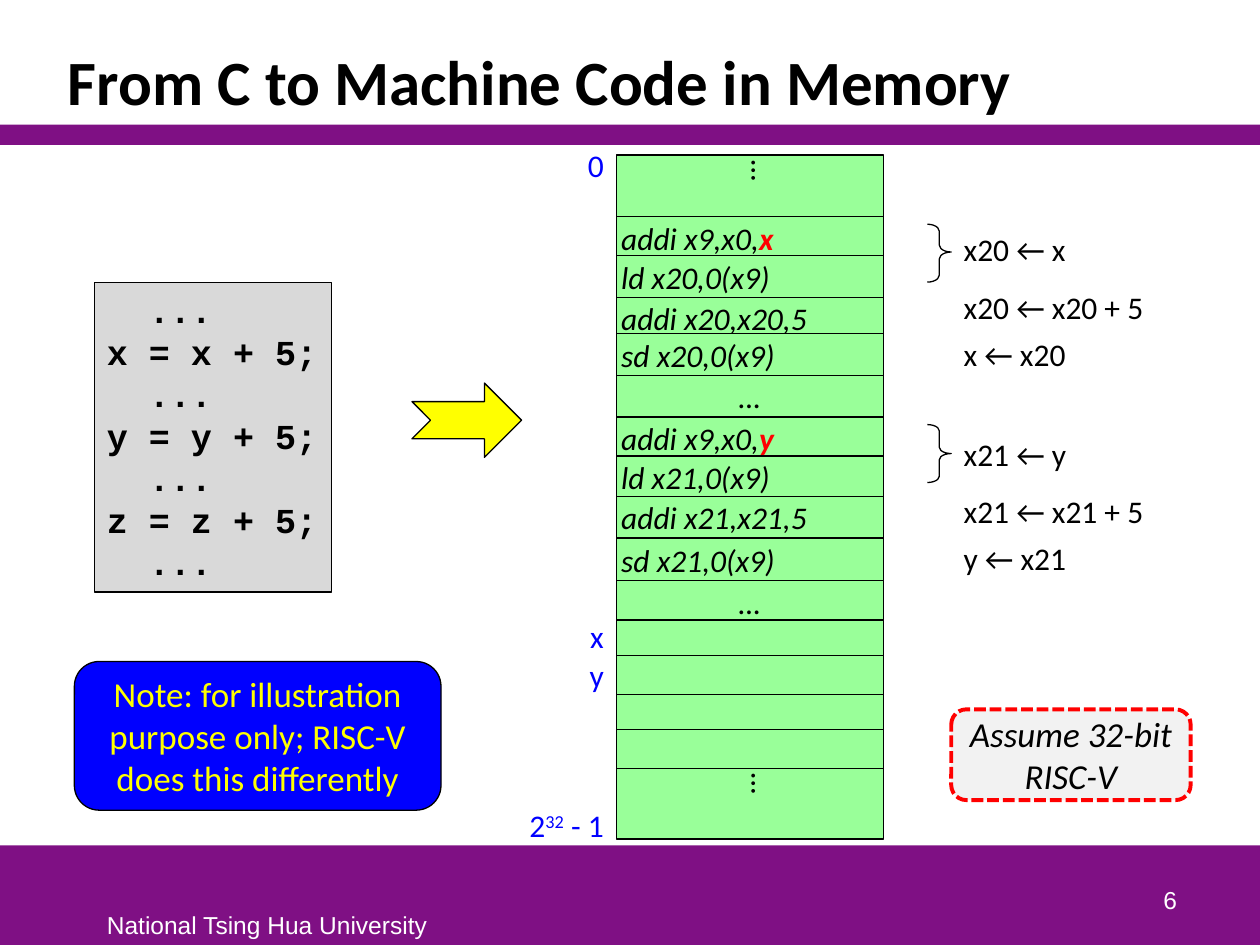
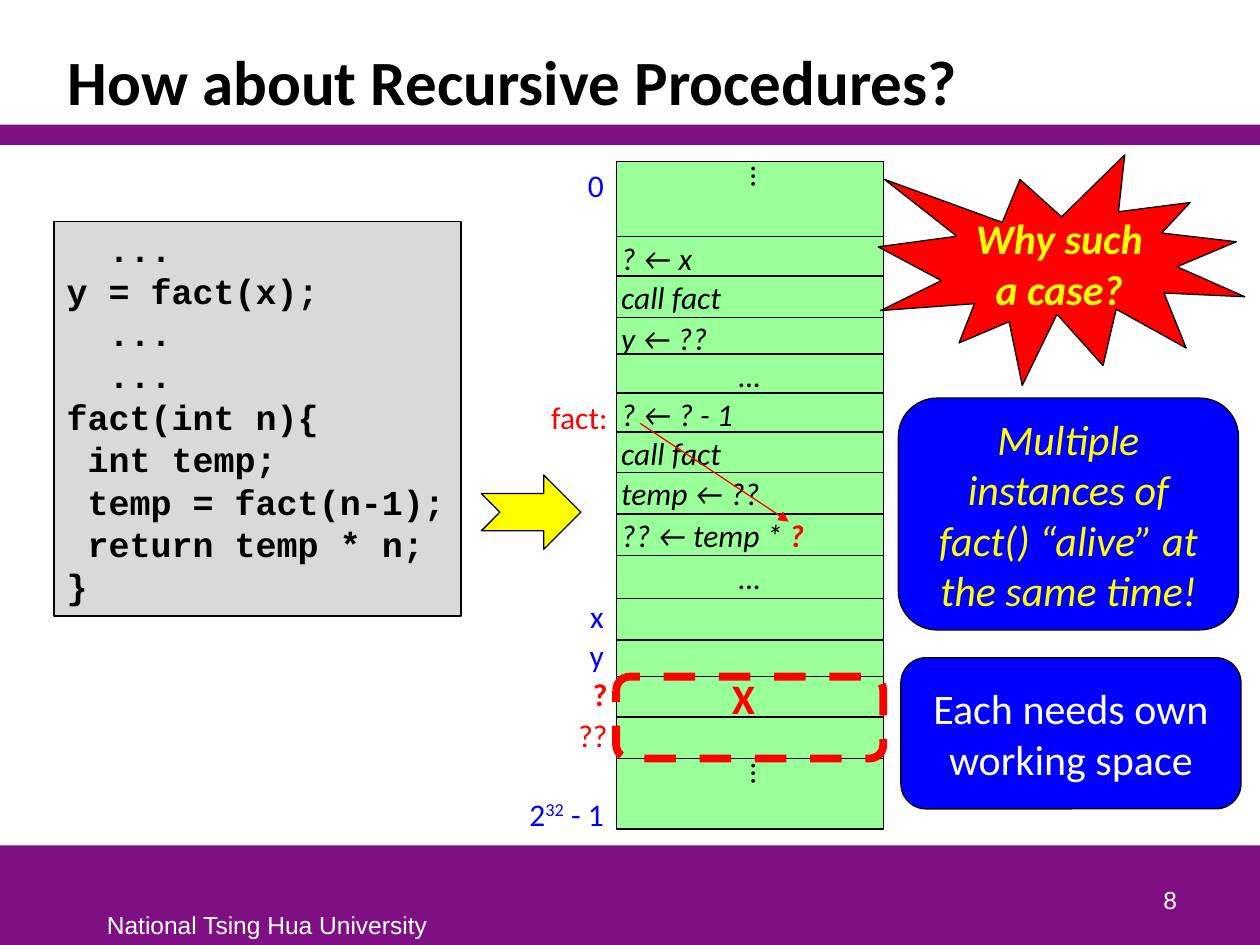
from lxml import etree
from pptx import Presentation
from pptx.dml.color import RGBColor
from pptx.enum.dml import MSO_LINE_DASH_STYLE as DASH
from pptx.enum.shapes import MSO_CONNECTOR, MSO_SHAPE as SHAPE
from pptx.enum.text import MSO_ANCHOR as ANCHOR, PP_ALIGN as ALIGN
from pptx.oxml.ns import qn
from pptx.util import Inches, Pt

PURPLE = RGBColor(0x7F, 0x10, 0x84)
GREEN = RGBColor(0x99, 0xFF, 0x99)
YELLOW = RGBColor(0xFF, 0xFF, 0x00)
BLUE = RGBColor(0x00, 0x00, 0xFF)
RED = RGBColor(0xFF, 0x00, 0x00)
GRAY = RGBColor(0xD9, 0xD9, 0xD9)
PALE = RGBColor(0xF2, 0xF2, 0xF2)
BLACK = RGBColor(0x00, 0x00, 0x00)
WHITE = RGBColor(0xFF, 0xFF, 0xFF)

presentation = Presentation()
presentation.slide_width = Inches(10)
presentation.slide_height = Inches(7.5)

# Grid: 100 columns by 75 rows
COLUMN = presentation.slide_width / 100
ROW = presentation.slide_height / 75
MEMORY_LEFT, MEMORY_WIDTH = 48.9, 21.2
CELL_HEIGHT = 3.3


def add_box(slide, kind, left, top, width, height, fill=None, line=None, weight=0.75, dash=None):
    """Add a preset shape, or a text box when kind is None."""
    place = [int(left * COLUMN), int(top * ROW), int(width * COLUMN), int(height * ROW)]
    if kind is None:
        return slide.shapes.add_textbox(*place)
    shape = slide.shapes.add_shape(kind, *place)
    shape.shadow.inherit = False
    if fill is None:
        shape.fill.background()
    else:
        shape.fill.solid()
        shape.fill.fore_color.rgb = fill
    if line is None:
        shape.line.fill.background()
    else:
        shape.line.color.rgb = line
        shape.line.width = Pt(weight)
        shape.line.dash_style = dash
    return shape


def write(shape, lines, size=18, color=BLACK, font="Calibri", bold=False, italic=False,
          align=ALIGN.LEFT, anchor=ANCHOR.TOP, wrap=True, inset=None):
    """Fill a shape with lines; each line is a list of (text, changed colour, baseline) runs."""
    frame = shape.text_frame
    frame.word_wrap = wrap
    frame.vertical_anchor = anchor
    if inset:
        (frame.margin_left, frame.margin_top,
         frame.margin_right, frame.margin_bottom) = [Inches(side) for side in inset]
    for index, runs in enumerate(lines):
        paragraph = frame.add_paragraph() if index else frame.paragraphs[0]
        paragraph.alignment = align
        for text, accent, baseline in runs:
            run = paragraph.add_run()
            run.text = text
            run.font.name = font
            run.font.size = Pt(size)
            run.font.color.rgb = accent or color
            run.font.bold = bold or accent is not None
            run.font.italic = italic
            if baseline:
                run.font._element.set("baseline", str(baseline * 1000))


# Content of each slide: memory cells are (height, text, red ending)
TOP_ADDRESS = [("2", None, 0), ("32", None, 30), (" - 1", None, 0)]
pages = [
    {
        "title": "From C to Machine Code in Memory",
        "number": "6",
        "code": (7.5, 22.4, 18.8, 24.6),
        "code lines": ["  ...", "x = x + 5;", "  ...", "y = y + 5;", "  ...", "z = z + 5;", "  ..."],
        "arrow": (32.7, 30.4, 8.7, 5.9),
        "memory top": 12.3,
        "cells": [
            (4.9, "⋮", ""), (3.1, "addi x9,x0,", "x"), (3.3, "ld x20,0(x9)", ""),
            (2.9, "addi x20,x20,5", ""), (3.3, "sd x20,0(x9)", ""), (3.3, "…", ""),
            (3.1, "addi x9,x0,", "y"), (3.2, "ld x21,0(x9)", ""), (3.3, "addi x21,x21,5", ""),
            (3.4, "sd x21,0(x9)", ""), (3.1, "…", ""), (2.8, "", ""), (3.1, "", ""),
            (2.8, "", ""), (3.1, "", ""), (5.6, "⋮", ""),
        ],
        "addresses": [(11.1, [("0", None, 0)]), (48.5, [("x", None, 0)]),
                      (51.6, [("y", None, 0)]), (63.5, TOP_ADDRESS)],
        "callouts": [
            (SHAPE.ROUNDED_RECTANGLE, (5.9, 52.5, 29.1, 11.8), BLUE, BLACK, 0.75, None,
             "Note: for illustration purpose only; RISC-V does this differently",
             {"size": 20, "color": YELLOW}),
            (SHAPE.ROUNDED_RECTANGLE, (75.5, 56.3, 19, 7.2), PALE, RED, 2.25, DASH.SQUARE_DOT,
             "Assume 32-bit RISC-V", {"size": 20, "italic": True}),
        ],
    },
    {
        "title": "How about Recursive Procedures?",
        "number": "8",
        "code": (4.3, 17.6, 32.3, 31.3),
        "code lines": ["  ...", "y = fact(x);", "  ...", "  ...", "fact(int n){", " int temp;",
                       " temp = fact(n-1);", " return temp * n;", "}"],
        "arrow": (38.2, 37.7, 7.9, 5.9),
        "memory top": 12.8,
        "cells": [
            (6, "⋮", ""), (3.1, "? ← x", ""), (3.3, "call fact", ""), (2.9, "y ← ??", ""),
            (3.1, "…", ""), (3.1, "? ← ? - 1", ""), (3.2, "call fact", ""),
            (3.3, "temp ← ??", ""), (3.3, "?? ← temp * ", "?"), (3.4, "…", ""),
            (3.3, "", ""), (2.9, "", ""), (3.2, "", ""), (3.3, "", ""), (5.6, "⋮", ""),
        ],
        "addresses": [(12.7, [("0", None, 0)]), (46.9, [("x", None, 0)]),
                      (50, [("y", None, 0)]), (62.6, TOP_ADDRESS)],
        "callouts": [
            (SHAPE.EXPLOSION1, (69.7, 12.3, 29.1, 18.3), RED, BLACK, 0.75, None,
             "Why such a case?", {"size": 24, "color": YELLOW, "bold": True, "italic": True}),
            (SHAPE.ROUNDED_RECTANGLE, (71.3, 31.6, 27, 18.4), BLUE, BLACK, 0.75, None,
             "Multiple instances of fact() “alive” at the same time!",
             {"size": 24, "color": YELLOW, "italic": True}),
            (SHAPE.ROUNDED_RECTANGLE, (71.5, 52.2, 27, 12), BLUE, BLACK, 0.75, None,
             "Each needs own working space", {"size": 24, "color": WHITE}),
        ],
    },
]

slides = []
for page in pages:
    slide = presentation.slides.add_slide(presentation.slide_layouts[6])
    slides.append(slide)

    # Bands, footer, title and page number
    add_box(slide, SHAPE.RECTANGLE, 0, 67.1, 100, 7.9, PURPLE)
    add_box(slide, SHAPE.RECTANGLE, 0, 9.9, 100, 1.6, PURPLE)
    write(add_box(slide, None, 7.5, 71.7, 27.6, 3.3),
          [[("National Tsing Hua University", None, 0)]], 14, WHITE, "Arial", wrap=False)
    title = add_box(slide, None, 4.4, 2.5, 91.2, 7.4)
    write(title, [[(page["title"], None, 0)]], 36, bold=True, anchor=ANCHOR.BOTTOM)
    title.text_frame.paragraphs[0].line_spacing = 0.85
    write(add_box(slide, None, 73.6, 68.1, 20.8, 5), [[(page["number"], None, 0)]],
          14, WHITE, "Arial", align=ALIGN.RIGHT, anchor=ANCHOR.BOTTOM)

    # Source code and arrow to memory
    write(add_box(slide, SHAPE.RECTANGLE, *page["code"], GRAY, BLACK),
          [[(line, None, 0)] for line in page["code lines"]],
          20, font="Courier New", bold=True, wrap=False)
    add_box(slide, SHAPE.NOTCHED_RIGHT_ARROW, *page["arrow"], YELLOW, BLACK)

    # Memory cells, each starting where the one above ends
    cell_top = page["memory top"]
    for height, text, ending in page["cells"]:
        drawn_height = max(height, CELL_HEIGHT) if text else height
        cell = add_box(slide, SHAPE.RECTANGLE, MEMORY_LEFT, cell_top,
                       MEMORY_WIDTH, drawn_height, GREEN, BLACK)
        runs = [(text, None, 0)] + ([(ending, RED, 0)] if ending else [])
        if text == "⋮":
            write(cell, [[("…", None, 0)]], italic=True, anchor=ANCHOR.MIDDLE,
                  inset=(0.28, 0.04, 0.1, 0.05))
            cell.text_frame._txBody.bodyPr.set("vert", "eaVert")
        elif text:
            write(cell, [runs], italic=True, anchor=ANCHOR.MIDDLE, inset=[0.04] * 4,
                  align=ALIGN.CENTER if text == "…" else ALIGN.LEFT)
        cell_top += height

    # Addresses left of the memory
    for top, runs in page["addresses"]:
        write(add_box(slide, None, MEMORY_LEFT - 10, top, 10, 4), [runs],
              color=BLUE, align=ALIGN.RIGHT)

    # Callouts
    for kind, place, fill, line, weight, dash, text, style in page["callouts"]:
        write(add_box(slide, kind, *place, fill, line, weight, dash), [[(text, None, 0)]],
              align=ALIGN.CENTER, anchor=ANCHOR.MIDDLE, **style)

machine_code, recursion = slides

# Meaning of the instructions, one group per variable
for register, variable, top, brace_top, bend in [("x20", "x", 17.8, 17.8, (0.29, 0.48)),
                                                ("x21", "y", 34, 33.7, (0.26, 0.5))]:
    meanings = [f"{register} ← {variable}", f"{register} ← {register} + 5",
                f"{variable} ← {register}"]
    for offset, meaning in zip((0, 4.6, 8.3), meanings):
        write(add_box(machine_code, None, 75.5, top + offset, 17, 4), [[(meaning, None, 0)]])
    brace = add_box(machine_code, SHAPE.RIGHT_BRACE, 73.6, brace_top, 1.9, 4.6, None, BLACK)
    brace.adjustments[0], brace.adjustments[1] = bend

# Red labels of the recursive procedure
for text, top, bold in [("fact:", 31.1, False), ("?", 53.1, True), ("??", 56.3, False)]:
    write(add_box(recursion, None, MEMORY_LEFT - 9.7, top, 10, 4), [[(text, None, 0)]],
          color=RED, bold=bold, align=ALIGN.RIGHT)

# Arrow from the argument to its later use
use_arrow = recursion.shapes.add_connector(
    MSO_CONNECTOR.STRAIGHT, int(50.8 * COLUMN), int(33.6 * ROW),
    int(62.6 * COLUMN), int(41.4 * ROW))
use_arrow.line.color.rgb = RED
use_arrow.line.width = Pt(0.75)
etree.SubElement(use_arrow.line._get_or_add_ln(), qn("a:tailEnd"), type="triangle")
etree.SubElement(use_arrow._element.spPr, qn("a:effectLst"))

# Working space that is overwritten
add_box(recursion, SHAPE.ROUNDED_RECTANGLE, MEMORY_LEFT, 53.7, MEMORY_WIDTH, 6.5,
        None, RED, 4.5, DASH.DASH)
write(add_box(recursion, None, 57.1, 52.9, 3.2, 5), [[("X", None, 0)]],
      24, RED, bold=True)

presentation.save("out.pptx")
